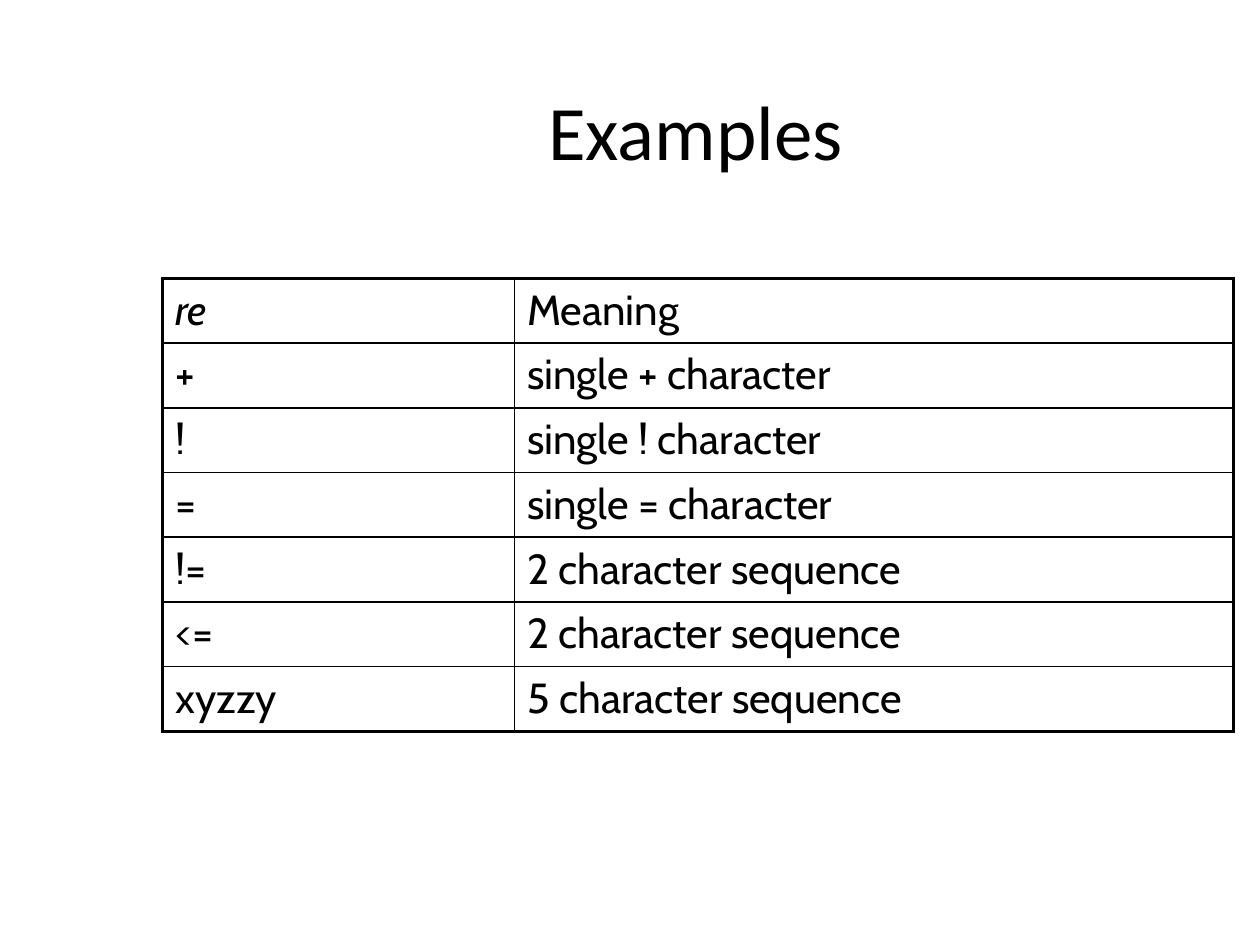
import pptx
import pptx.dml.color
import pptx.enum.text
import pptx.oxml.ns
import pptx.util
from lxml import etree
from pptx.util import Cm

# Content
TITLE = "Examples"
ROWS = [
    ("re", "Meaning"),
    ("+", "single + character"),
    ("!", "single ! character"),
    ("=", "single = character"),
    ("!=", "2 character sequence"),
    ("<=", "2 character sequence"),
    ("xyzzy", "5 character sequence"),
]

# Theme and layout
THEME = {
    "ink": "000000",
    "title_font": "Calibri",
    "title_size": 44,
    "table_font": "Cabin",
    "table_size": 24,
    "outer_border": 2.25,
    "inner_border": 1,
}
TITLE_BOX = (Cm(3.2), Cm(0.58), Cm(21.64), Cm(4.06))
TABLE_LEFT, TABLE_TOP = Cm(3.28), Cm(5.61)
COLUMN_WIDTHS = (Cm(7.09), Cm(14.5))
ROW_HEIGHT = Cm(1.305)


def format_font(font, name, size, italic=False):
    font.name = name
    font.size = pptx.util.Pt(size)
    font.italic = italic
    font.color.rgb = pptx.dml.color.RGBColor.from_string(THEME["ink"])


def add_border(cell, tag, points):
    qn = pptx.oxml.ns.qn
    properties = cell._tc.get_or_add_tcPr()
    line = etree.SubElement(properties, qn(tag), w=str(int(pptx.util.Pt(points))))
    fill = etree.SubElement(line, qn("a:solidFill"))
    etree.SubElement(fill, qn("a:srgbClr"), val=THEME["ink"])


def fill_cell(cell, text, row, column):
    # Heavy lines run round the outside of the table
    outer_sides = {
        "a:lnL": column == 0,
        "a:lnR": column == len(COLUMN_WIDTHS) - 1,
        "a:lnT": row == 0,
        "a:lnB": row == len(ROWS) - 1,
    }
    for tag, is_outer in outer_sides.items():
        add_border(cell, tag, THEME["outer_border" if is_outer else "inner_border"])
    cell.fill.background()
    cell.text_frame.text = text
    run = cell.text_frame.paragraphs[0].runs[0]
    format_font(run.font, THEME["table_font"], THEME["table_size"],
                italic=(row == 0 and column == 0))


def main():
    presentation = pptx.Presentation()
    presentation.slide_width, presentation.slide_height = Cm(25.4), Cm(19.05)
    slide = presentation.slides.add_slide(presentation.slide_layouts[5])

    # Title
    title = slide.shapes.title
    title.left, title.top, title.width, title.height = TITLE_BOX
    title.text_frame.text = TITLE
    title.text_frame.vertical_anchor = pptx.enum.text.MSO_ANCHOR.MIDDLE
    paragraph = title.text_frame.paragraphs[0]
    paragraph.alignment = pptx.enum.text.PP_ALIGN.CENTER
    format_font(paragraph.runs[0].font, THEME["title_font"], THEME["title_size"])

    # Table
    table = slide.shapes.add_table(
        len(ROWS), len(COLUMN_WIDTHS), TABLE_LEFT, TABLE_TOP,
        sum(COLUMN_WIDTHS), ROW_HEIGHT * len(ROWS)).table
    table.first_row = table.horz_banding = False
    for column, width in zip(table.columns, COLUMN_WIDTHS):
        column.width = width
    for row, texts in enumerate(ROWS):
        table.rows[row].height = ROW_HEIGHT
        for column, text in enumerate(texts):
            fill_cell(table.cell(row, column), text, row, column)

    presentation.save("out.pptx")


if __name__ == "__main__":
    main()
